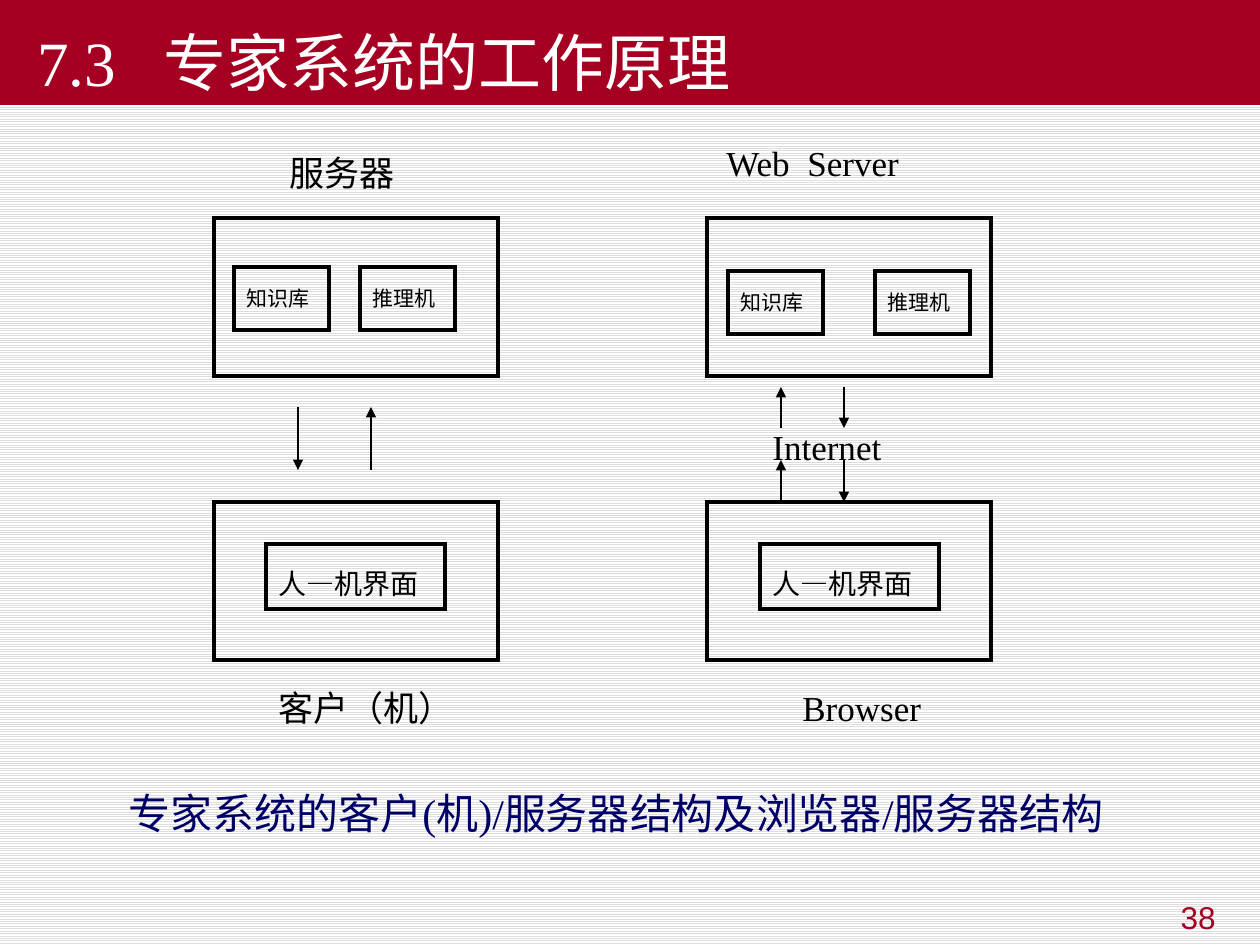
from dataclasses import dataclass

from lxml import etree
from pptx import Presentation
from pptx import util as u
from pptx.dml.color import RGBColor
from pptx.enum import dml, shapes, text
from pptx.oxml import parse_xml
from pptx.oxml.ns import nsdecls, qn

PX = 914400 / 126  # EMU in one px


@dataclass(frozen=True)
class Theme:
    red: str = "A50021"
    navy: str = "000066"
    black: str = "000000"
    white: str = "FFFFFF"
    stripe: str = "DDDDDD"
    serif: str = "Times New Roman"
    sans: str = "Arial"
    title: int = 36
    caption: int = 24
    label: int = 20
    number: int = 18
    interface: int = 16
    component: int = 12
    border: float = 2.25
    arrow: float = 0.75


theme = Theme()


def px(*lengths):
    return [u.Emu(round(length * PX)) for length in lengths]


def write(frame, words, size, color, font=theme.serif, tab=None):
    """Fill a frame with one formatted paragraph, with a tab stop in px if given."""
    frame.word_wrap = True
    para = frame.paragraphs[0]
    para.text = words
    if tab:
        stops = etree.SubElement(para._p.get_or_add_pPr(), qn("a:tabLst"))
        etree.SubElement(stops, qn("a:tab"), pos=str(px(tab)[0]), algn="l")
    para.alignment = text.PP_ALIGN.LEFT
    for span in para.runs:
        span.font.name = font
        span.font.size = u.Pt(size)
        span.font.color.rgb = RGBColor.from_string(color)
    return para


deck = Presentation()
deck.slide_width, deck.slide_height = px(1260, 945)
page = deck.slides.add_slide(deck.slide_layouts[5])

# Striped background
backdrop = page.background.fill
backdrop.patterned()
backdrop.pattern = dml.MSO_PATTERN.LIGHT_HORIZONTAL
backdrop.fore_color.rgb = RGBColor.from_string(theme.stripe)
backdrop.back_color.rgb = RGBColor.from_string(theme.white)

# Title band
title = page.shapes.title
title.left, title.top, title.width, title.height = px(0, 0, 1260, 105)
title.fill.solid()
title.fill.fore_color.rgb = RGBColor.from_string(theme.red)
title.text_frame.auto_size = text.MSO_AUTO_SIZE.NONE
title.text_frame.vertical_anchor = text.MSO_ANCHOR.BOTTOM
title.text_frame.margin_left = px(37)[0]
write(title.text_frame, "7.3\t专家系统的工作原理", theme.title, theme.white, tab=126)

# Framed boxes: left, top, width, height, words, size
frames = [(left, top, 284, 158, "", theme.label)
          for left in (214, 707) for top in (218, 502)]
frames += [(left, top, 95, 63, words, theme.component) for left, top, words in (
    (234, 267, "知识库"), (360, 267, "推理机"),
    (728, 271, "知识库"), (875, 271, "推理机"))]
frames += [(left, 544, 179, 57, "人—机界面", theme.interface) for left in (266, 760)]

for left, top, width, height, words, size in frames:
    table = page.shapes.add_table(1, 1, *px(left, top, width, height)).table
    table.first_row = table.horz_banding = False
    cell = table.cell(0, 0)
    for side in ("lnL", "lnR", "lnT", "lnB"):
        cell._tc.get_or_add_tcPr().append(parse_xml(
            f'<a:{side} {nsdecls("a")} w="{u.Pt(theme.border)}"><a:solidFill>'
            f'<a:srgbClr val="{theme.black}"/></a:solidFill></a:{side}>'))
    cell.fill.background()
    if words:
        write(cell.text_frame, words, size, theme.black).line_spacing = 1.3

# Labels: left, top, width, words, tab stop
for left, top, width, words, tab in (
        (266, 680, 220, "客户（机）", None),
        (790, 680, 190, "Browser", None),
        (277, 145, 158, "服务器", None),
        (714, 135, 298, "Web\tServer", 81),
        (760, 419, 199, "Internet", None)):
    box = page.shapes.add_textbox(*px(left, top, width, 54))
    write(box.text_frame, words, theme.label, theme.black, tab=tab)

# Arrows: x, start, end
for x, start, end in ((298, 407, 470), (371, 470, 407),
                      (781, 428, 387), (781, 502, 460),
                      (844, 387, 428), (844, 460, 502)):
    arrow = page.shapes.add_connector(
        shapes.MSO_CONNECTOR.STRAIGHT, *px(x, start, x, end))
    arrow.line.color.rgb = RGBColor.from_string(theme.black)
    arrow.line.width = u.Pt(theme.arrow)
    outline = arrow._element.spPr.find(qn("a:ln"))
    etree.SubElement(outline, qn("a:tailEnd"), type="triangle")
    etree.SubElement(arrow._element.spPr, qn("a:effectLst"))

caption = page.shapes.add_textbox(*px(116, 781, 1008, 64))
write(caption.text_frame, "专家系统的客户(机)/服务器结构及浏览器/服务器结构",
      theme.caption, theme.navy)

number = page.shapes.add_textbox(*px(955, 892, 273, 49))
write(number.text_frame, "38", theme.number, theme.red,
      theme.sans).alignment = text.PP_ALIGN.RIGHT

deck.save("out.pptx")
